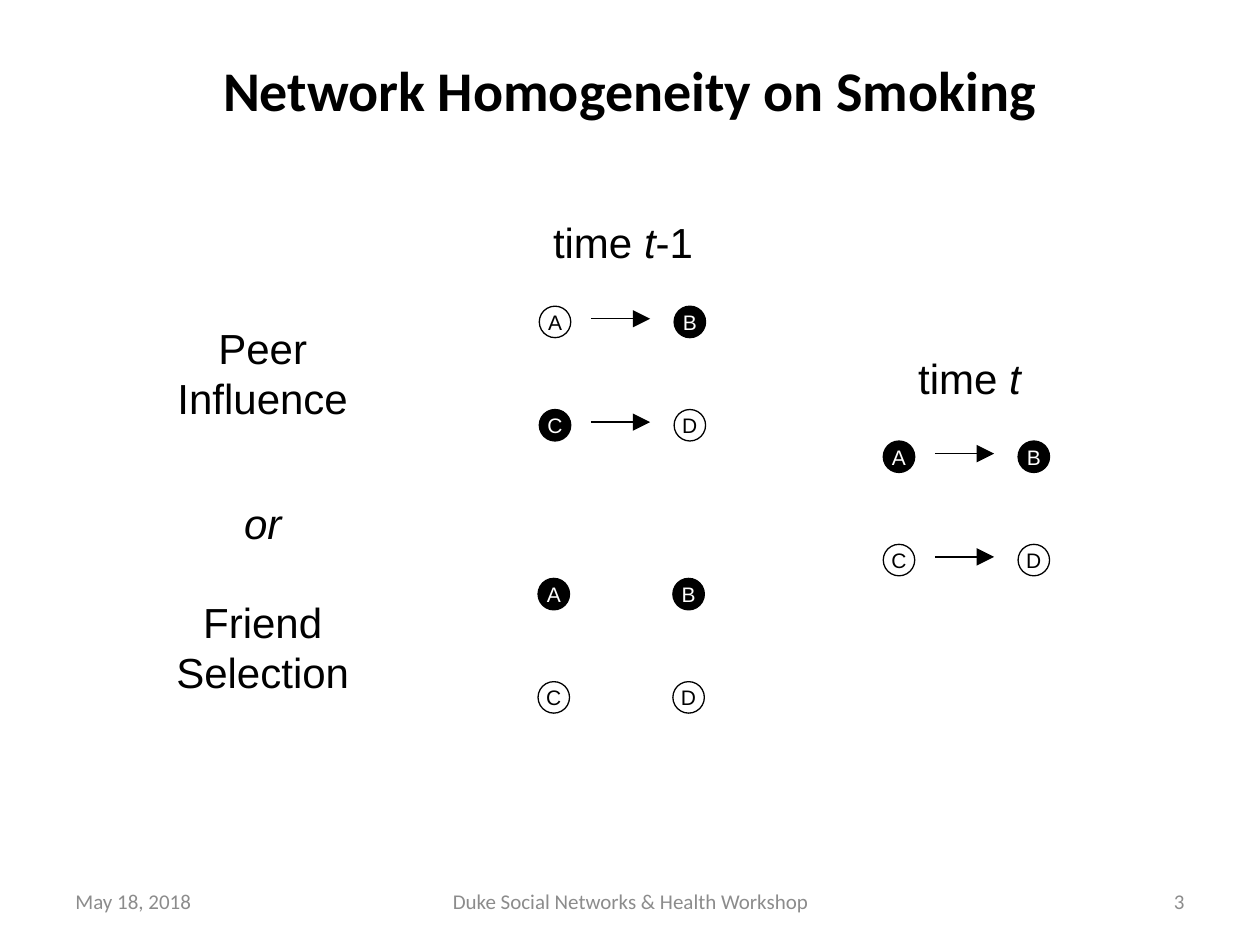
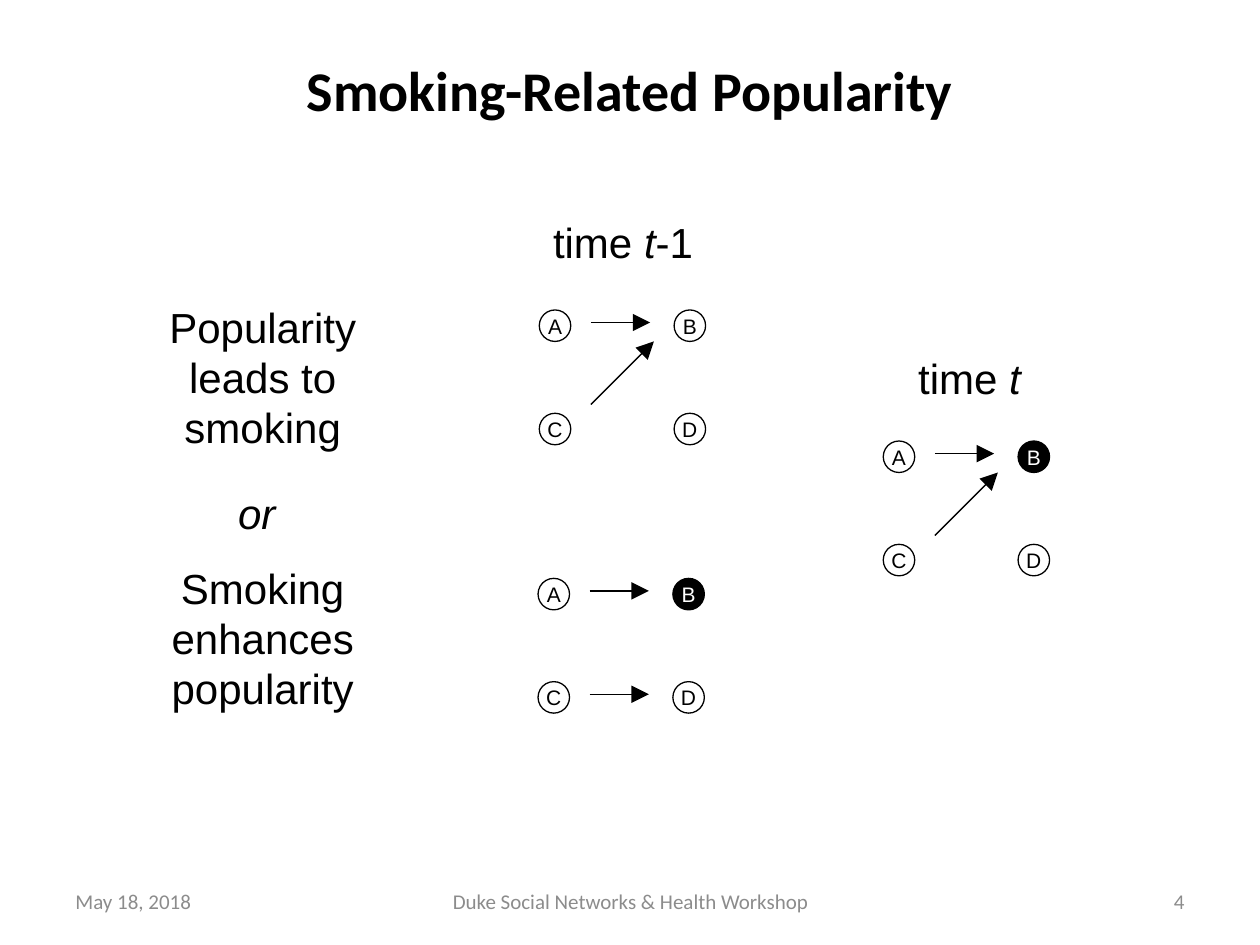
from dataclasses import dataclass
from lxml import etree
from pptx import Presentation
from pptx.dml.color import RGBColor
from pptx.enum import shapes, text
from pptx.oxml.ns import qn
from pptx.util import Inches, Pt


@dataclass(frozen=True)
class Theme:
    ink: RGBColor = RGBColor(0, 0, 0)
    paper: RGBColor = RGBColor(255, 255, 255)
    gray: RGBColor = RGBColor(0x8C, 0x8C, 0x8C)
    head: str = "Calibri"
    body: str = "Arial"
    title: int = 32
    label: int = 24
    small: int = 12
    rule: float = 0.75


T = Theme()
LEFT, MID, RIGHT = text.PP_ALIGN.LEFT, text.PP_ALIGN.CENTER, text.PP_ALIGN.RIGHT

# A label is (left, top, height, paragraphs, gap before later paragraphs in points).
# A paragraph is a list of (words, italic) runs.
TIMES = [
    (6.78, 2.75, 0.5, [[("time ", False), ("t", True)]], 0),
    (4.03, 1.67, 0.5, [[("time ", False), ("t", True), ("-1", False)]], 0),
]
# A network is (left, top, smokers, ties); a tie "CB" runs from C to B.
SLIDES = [
    {
        "title": "Network Homogeneity on Smoking",
        "labels": [
            (1.17, 2.51, 0.91, [[("Peer Influence", False)]], 0),
            (1.17, 3.9, 1.72, [[("or", True)], [("Friend Selection", False)]], 27.6),
        ],
        "nets": [
            (7.01, 3.5, "AB", ["AB", "CD"]),
            (4.28, 2.43, "BC", ["AB", "CD"]),
            (4.27, 4.59, "AB", []),
        ],
    },
    {
        "title": "Smoking-Related Popularity",
        "labels": [
            (1.17, 2.34, 1.31, [[("Popularity leads to smoking", False)]], 0),
            (1.17, 3.82, 1.92,
             [[("or ", True)], [("Smoking enhances popularity", False)]], 13.8),
        ],
        "nets": [
            (7.01, 3.5, "B", ["AB", "CB"]),
            (4.28, 2.46, "", ["AB", "CB"]),
            (4.27, 4.59, "B", ["AB", "CD"]),
        ],
    },
]
FIRST = 3
FOOT = [
    (0.5, 2.33, LEFT, "May 18, 2018"),
    (3.42, 3.17, MID, "Duke Social Networks & Health Workshop"),
    (7.17, 2.33, RIGHT, "{page}"),
]

LABEL_W = 1.83
DOT = 0.25
COL, ROW = 1.07, 0.82
NODES = {"A": (0, 0), "B": (COL, 0), "C": (0, ROW), "D": (COL, ROW)}
# Start and end of each tie, measured from the network's corner.
TIES = {
    "AB": (0.41, 0.1, 0.88, 0.1),
    "CD": (0.41, ROW + 0.1, 0.88, ROW + 0.1),
    "CB": (0.41, 0.75, 0.91, 0.25),
}


def style(para, face, size, color, align):
    para.alignment = align
    para.font.name, para.font.size = face, Pt(size)
    para.font.color.rgb = color


def add_box(slide, left, top, width, height):
    box = slide.shapes.add_textbox(*map(Inches, (left, top, width, height)))
    box.text_frame.word_wrap = True
    return box.text_frame


def add_label(slide, left, top, height, paras, gap):
    frame = add_box(slide, left, top, LABEL_W, height)
    for i, runs in enumerate(paras):
        para = frame.add_paragraph() if i else frame.paragraphs[0]
        if i:
            para.space_before = Pt(gap)
        for words, slant in runs:
            run = para.add_run()
            run.text, run.font.italic = words, slant
        style(para, T.body, T.label, T.ink, MID)


def add_dot(group, name, left, top, smokes):
    dot = group.shapes.add_shape(shapes.MSO_SHAPE.OVAL, Inches(left), Inches(top),
                                 Inches(DOT), Inches(DOT))
    dot.shadow.inherit = False
    dot.fill.solid()
    dot.fill.fore_color.rgb = T.ink if smokes else T.paper
    dot.line.color.rgb, dot.line.width = T.ink, Pt(T.rule)
    frame = dot.text_frame
    frame.margin_left = frame.margin_right = frame.margin_top = frame.margin_bottom = 0
    frame.vertical_anchor, frame.word_wrap = text.MSO_ANCHOR.MIDDLE, False
    frame.text = name
    style(frame.paragraphs[0], T.body, T.small, T.paper if smokes else T.ink, MID)


def add_tie(group, *ends):
    tie = group.shapes.add_connector(shapes.MSO_CONNECTOR.STRAIGHT, *map(Inches, ends))
    tie.line.color.rgb, tie.line.width = T.ink, Pt(T.rule)
    props = tie.element.spPr
    etree.SubElement(props.find(qn("a:ln")), qn("a:tailEnd"),
                     type="triangle", w="lg", len="lg")
    etree.SubElement(props, qn("a:effectLst"))


def add_net(slide, left, top, smokers, ties):
    group = slide.shapes.add_group_shape()
    for tie in ties:
        x1, y1, x2, y2 = TIES[tie]
        add_tie(group, left + x1, top + y1, left + x2, top + y2)
    for name, (dx, dy) in NODES.items():
        add_dot(group, name, left + dx, top + dy, name in smokers)


def add_title(slide, words):
    title = slide.shapes.title
    title.left, title.top, title.width, title.height = map(Inches, (0.5, 0.08, 9, 1.25))
    title.text_frame.text = words
    title.text_frame.vertical_anchor = text.MSO_ANCHOR.MIDDLE
    para = title.text_frame.paragraphs[0]
    style(para, T.head, T.title, T.ink, MID)
    para.font.bold = True


def add_foot(slide, page):
    for left, width, align, words in FOOT:
        frame = add_box(slide, left, 6.95, width, 0.4)
        frame.vertical_anchor = text.MSO_ANCHOR.MIDDLE
        frame.text = words.format(page=page)
        style(frame.paragraphs[0], T.head, T.small, T.gray, align)


def main():
    deck = Presentation()
    deck.slide_width, deck.slide_height = Inches(10), Inches(7.5)
    for page, data in enumerate(SLIDES, FIRST):
        slide = deck.slides.add_slide(deck.slide_layouts[5])
        add_title(slide, data["title"])
        for label in data["labels"] + TIMES:
            add_label(slide, *label)
        for net in data["nets"]:
            add_net(slide, *net)
        add_foot(slide, page)
    deck.save("out.pptx")


if __name__ == "__main__":
    main()
